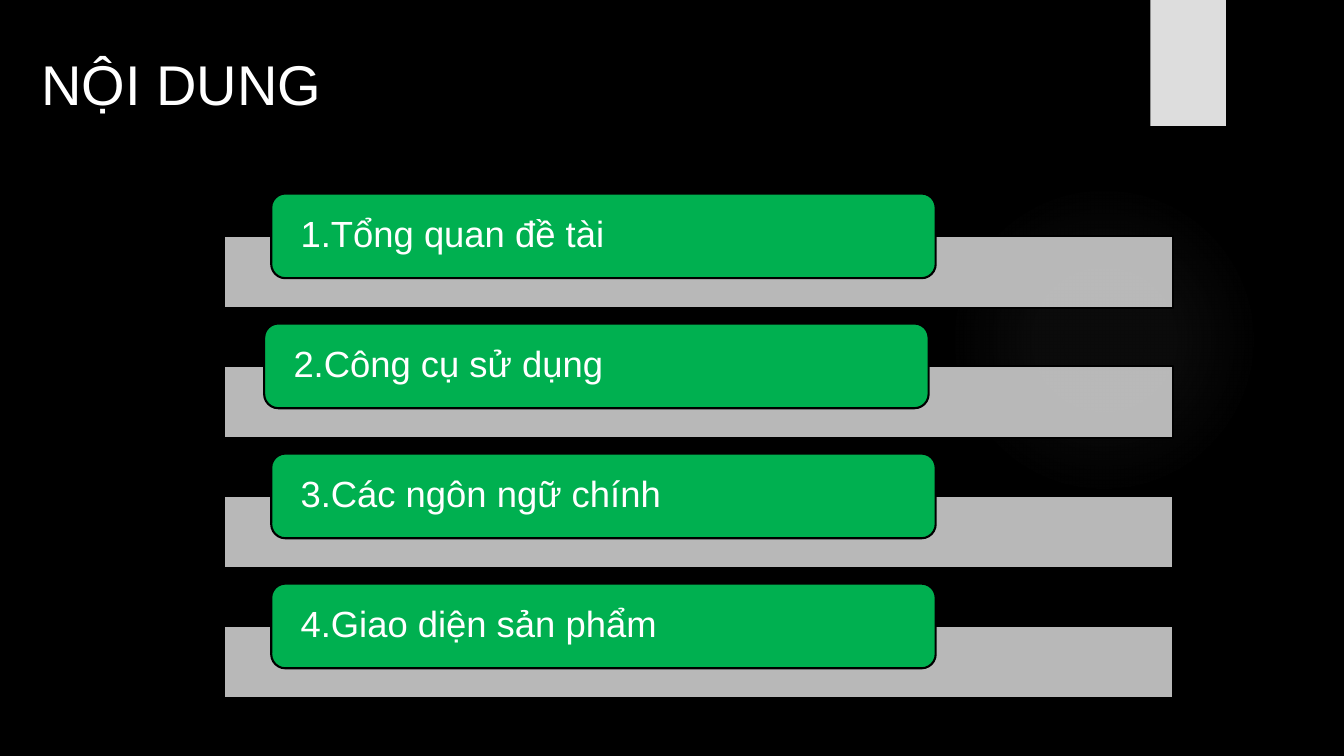
from dataclasses import dataclass

from lxml import etree
from pptx import Presentation
from pptx.dml.color import RGBColor
from pptx.enum.shapes import MSO_SHAPE
from pptx.enum.text import MSO_ANCHOR, PP_ALIGN
from pptx.oxml import parse_xml
from pptx.oxml.ns import nsdecls, qn
from pptx.shapes.autoshape import Shape
from pptx.slide import Slide
from pptx.text.text import TextFrame
from pptx.util import Emu, Pt

RECT = MSO_SHAPE.RECTANGLE
ROUNDED = MSO_SHAPE.ROUNDED_RECTANGLE
ELLIPSE = MSO_SHAPE.OVAL
LEFT = PP_ALIGN.LEFT
TOP = MSO_ANCHOR.TOP
MIDDLE = MSO_ANCHOR.MIDDLE

EMU_PER_PX = 9144
TITLE_ONLY = 5


@dataclass(frozen=True)
class Theme:
    font: str = "Arial"
    background: str = "000000"
    text: str = "FFFFFF"
    accent: str = "00B050"
    band: str = "CCCCCC"
    ribbon: str = "DDDDDD"
    glow: str = "999999"
    outline: str = "000000"
    title_size: int = 40
    item_size: int = 26
    outline_width: float = 1.5
    band_opacity: int = 90


@dataclass(frozen=True)
class Box:
    x: int
    y: int
    w: int
    h: int


@dataclass(frozen=True)
class AgendaItem:
    text: str
    x: int = 269


THEME = Theme()
SLIDE = Box(0, 0, 1333, 750)
TITLE = Box(31, 44, 520, 77)
GLOW = Box(941, 183, 308, 308)
RIBBON = Box(1141, 0, 75, 125)
AGENDA_TOP = 192
AGENDA_PITCH = 129
BAND_OFFSET = 42
TEXT_INSET = 25
GLOW_STOPS = ((0, 7), (36, 6), (69, 0))
ITEMS = (
    AgendaItem("1.Tổng quan đề tài"),
    AgendaItem("2.Công cụ sử dụng", 262),
    AgendaItem("3.Các ngôn ngữ chính"),
    AgendaItem("4.Giao diện sản phẩm"),
)


def px(n: int) -> Emu:
    return Emu(n * EMU_PER_PX)


def rgb(color: str) -> RGBColor:
    return RGBColor.from_string(color)


def add_shape(slide: Slide, kind: MSO_SHAPE, box: Box) -> Shape:
    sp = slide.shapes.add_shape(kind, px(box.x), px(box.y), px(box.w), px(box.h))
    sp.shadow.inherit = False
    sp.line.fill.background()
    return sp


def add_block(slide: Slide, kind: MSO_SHAPE, box: Box, color: str,
              outlined: bool = True) -> Shape:
    sp = add_shape(slide, kind, box)
    sp.fill.solid()
    sp.fill.fore_color.rgb = rgb(color)
    if outlined:
        sp.line.color.rgb = rgb(THEME.outline)
        sp.line.width = Pt(THEME.outline_width)
    return sp


def set_opacity(sp: Shape, percent: int) -> None:
    color = sp._element.spPr.find(qn("a:solidFill"))[0]
    etree.SubElement(color, qn("a:alpha"), val=str(percent * 1000))


def set_text(tf: TextFrame, text: str, size: int) -> None:
    tf.word_wrap = True
    tf.text = text
    p = tf.paragraphs[0]
    p.alignment = LEFT
    p.font.name = THEME.font
    p.font.size = Pt(size)
    p.font.color.rgb = rgb(THEME.text)


def add_glow(slide: Slide) -> None:
    sp = add_shape(slide, ELLIPSE, GLOW)
    stops = "".join(
        f'<a:gs pos="{pos * 1000}"><a:srgbClr val="{THEME.glow}">'
        f'<a:alpha val="{alpha * 1000}"/></a:srgbClr></a:gs>'
        for pos, alpha in GLOW_STOPS
    )
    gradient = parse_xml(
        f'<a:gradFill {nsdecls("a")}><a:gsLst>{stops}</a:gsLst>'
        '<a:path path="circle"><a:fillToRect l="50000" t="50000" '
        'r="50000" b="50000"/></a:path></a:gradFill>'
    )
    sp._element.spPr.find(qn("a:prstGeom")).addnext(gradient)


def add_title(slide: Slide) -> None:
    sp = slide.shapes.title
    sp.left, sp.top = px(TITLE.x), px(TITLE.y)
    sp.width, sp.height = px(TITLE.w), px(TITLE.h)
    tf = sp.text_frame
    tf.vertical_anchor = TOP
    set_text(tf, "NỘI DUNG", THEME.title_size)


def add_item(slide: Slide, item: AgendaItem, y: int) -> None:
    band = add_block(slide, RECT, Box(222, y + BAND_OFFSET, 941, 72), THEME.band)
    set_opacity(band, THEME.band_opacity)
    sp = add_block(slide, ROUNDED, Box(item.x, y, 659, 84), THEME.accent)
    tf = sp.text_frame
    tf.margin_left = tf.margin_right = px(TEXT_INSET)
    tf.margin_top = tf.margin_bottom = 0
    tf.vertical_anchor = MIDDLE
    set_text(tf, item.text, THEME.item_size)
    tf.paragraphs[0].line_spacing = 0.9


def main() -> None:
    prs = Presentation()
    prs.slide_width, prs.slide_height = px(SLIDE.w), px(SLIDE.h)
    slide = prs.slides.add_slide(prs.slide_layouts[TITLE_ONLY])
    fill = slide.background.fill
    fill.solid()
    fill.fore_color.rgb = rgb(THEME.background)
    add_title(slide)
    add_glow(slide)
    add_block(slide, RECT, RIBBON, THEME.ribbon, outlined=False)
    for i, item in enumerate(ITEMS):
        add_item(slide, item, AGENDA_TOP + i * AGENDA_PITCH)
    prs.save("out.pptx")


if __name__ == "__main__":
    main()
